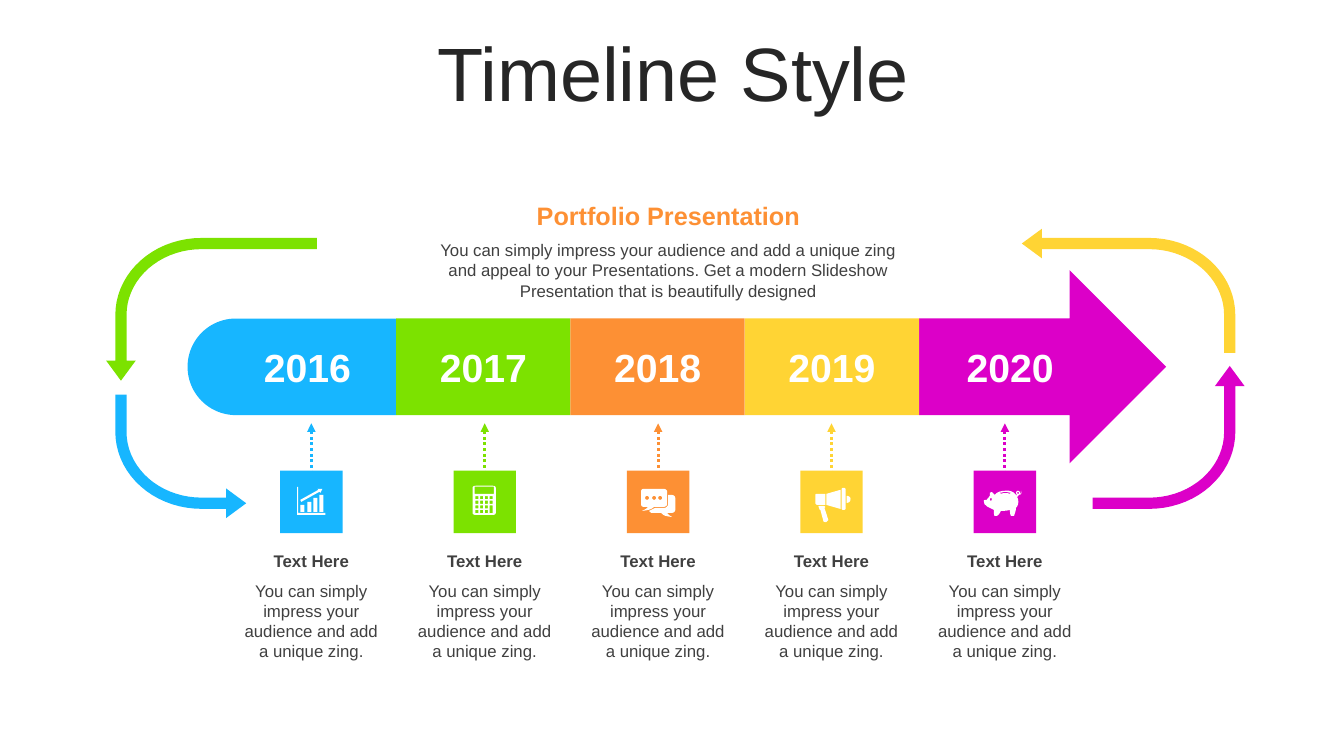
import collections
import dataclasses
import math

import lxml.etree
import pptx
import pptx.dml.color
import pptx.enum.dml
import pptx.enum.shapes
import pptx.enum.text
import pptx.oxml.ns
import pptx.util

Pt = pptx.util.Pt
Shape = pptx.enum.shapes.MSO_SHAPE
Anchor = pptx.enum.text.MSO_ANCHOR
Box = collections.namedtuple("Box", "left top width height")
Step = collections.namedtuple("Step", "year colour icon")


@dataclasses.dataclass(frozen=True)
class Theme:
    font: str = "Arial"
    blue: str = "17B6FF"
    green: str = "7CE200"
    orange: str = "FD9034"
    yellow: str = "FFD434"
    magenta: str = "DC00C8"
    white: str = "FFFFFF"
    title: str = "262626"
    ink: str = "404040"
    title_size: int = 54
    year_size: int = 28
    heading_size: int = 18
    body_size: int = 12


THEME = Theme()
ICON_GRID = 62


def block(left, top, right, bottom):
    return f"M{left} {top} L{right} {top} L{right} {bottom} L{left} {bottom} Z"


def dot(x, y):
    return (f"M{x} {y - 2} C{x - 1} {y - 2} {x - 2} {y - 1} {x - 2} {y} "
            f"C{x - 2} {y + 1} {x - 1} {y + 2} {x} {y + 2} C{x + 1} {y + 2} {x + 2} {y + 1} {x + 2} {y} "
            f"C{x + 2} {y - 1} {x + 1} {y - 2} {x} {y - 2} Z")


def key(column, row):
    left, top = 21.8 + 4.7 * column, 25.3 + 4.6 * row
    tall = column == 3 and row == 2
    return block(left, top, left + 3, top + (7.6 if tall else 3))


CHART = " ".join(block(left, top, left + 4, 41) for left, top in ((20, 34), (27, 31), (33, 27), (39, 24)))
CHART += (" M37 18 L42 18 L40 22 L39 21 L21 31 L20 29 L38 19 Z"
          " M17 16 L18 16 L18 42 L45 42 L45 44 L17 44 Z")
CALCULATOR = " ".join(key(column, row) for row in range(4) for column in range(4) if (column, row) != (3, 3))
CALCULATOR += block(21, 16, 40, 23) + (
    " M22 15 L39 15 C41 15 42 16 42 17 L42 42 C42 43 41 44 39 44 L22 44"
    " C20 44 19 43 19 42 L19 17 C19 16 20 15 22 15 Z")
CHAT = " ".join(dot(x, 27) for x in (20, 27, 33)) + (
    " M41 24 L44 24 C46 24 48 25 48 27 L48 39 C48 41 46 42 44 42 L40 42 C41 43 41 44 45 46"
    " C38 45 37 45 34 42 L25 42 C24 42 23 41 22 40 C24 39 26 38 28 37 L37 37 C39 37 41 35 41 33 Z"
    " M17 18 L36 18 C38 18 40 19 40 21 L40 33 C40 35 38 36 36 36 L27 36 C23 39 22 39 15 40"
    " C19 38 19 38 21 36 L17 36 C15 36 14 35 14 33 L14 21 C14 19 15 18 17 18 Z")
MEGAPHONE = (
    "M24 35 L25 36 L24 37 L28 49 C28 49 27 50 26 51 L25 51 C24 51 23 51 23 50"
    " L20 39 C19 39 19 38 19 38 L18 35 Z M46 25 C48 25 50 26 50 28 C50 31 48 32 46 32 Z"
    " M17 23 L25 23 L25 34 L17 34 C16 34 15 33 15 32 L15 24 C15 23 16 23 17 23 Z"
    " M40 19 L40 38 L26 34 L26 23 Z"
    " M42 17 L44 17 L45 18 L45 38 L44 39 L42 39 L41 38 L41 18 Z")
PIGGY_BANK = (
    "M17 27 C17 27 16 28 16 29 C16 29 17 30 17 30 C18 30 18 29 18 29 C18 28 18 27 17 27 Z"
    " M44 21 C44 21 43 22 43 22 C43 23 44 23 44 23 C45 23 45 23 45 22 C45 22 45 21 44 21 Z"
    " M31 21 C30 21 28 22 26 22 L27 23 C30 22 33 22 36 23 L37 22 C35 22 33 21 31 21 Z"
    " M31 20 C35 19 40 21 42 24 L43 25 L43 24 C43 24 42 23 42 22 C42 21 43 20 44 20"
    " C45 20 46 21 46 22 L46 23 C46 23 47 23 47 20 C48 23 47 24 45 24 C44 25 44 26 43 26"
    " L44 28 C45 32 44 35 42 37 C42 40 41 42 40 45 L37 45 C36 43 36 41 36 39"
    " C33 40 29 40 27 40 C26 42 25 44 23 45 L21 45 C20 45 20 41 20 39 C17 37 9 35 10 30"
    " C10 29 12 29 13 29 C14 27 15 27 16 25 C16 24 16 22 16 22 C19 20 19 23 21 24 C23 21 28 20 31 20 Z")

STEPS = (Step("2016", THEME.blue, CHART), Step("2017", THEME.green, CALCULATOR),
         Step("2018", THEME.orange, CHAT), Step("2019", THEME.yellow, MEGAPHONE),
         Step("2020", THEME.magenta, PIGGY_BANK))


def rgb(colour):
    return pptx.dml.color.RGBColor.from_string(colour)


def points(box):
    return [Pt(length) for length in box]


def paint(shape, colour):
    shape.shadow.inherit = False
    shape.fill.solid()
    shape.fill.fore_color.rgb = rgb(colour)
    shape.line.fill.background()


def write(shape, words, size, colour, bold=False, anchor=Anchor.TOP, spacing=1.0):
    frame = shape.text_frame
    para = frame.paragraphs[0]
    span = para.add_run()
    span.text = words
    formats = (
        (frame, {"word_wrap": True, "vertical_anchor": anchor}),
        (para, {"alignment": pptx.enum.text.PP_ALIGN.CENTER, "line_spacing": spacing}),
        (span.font, {"name": THEME.font, "size": Pt(size), "bold": bold}),
    )
    for target, values in formats:
        for name, value in values.items():
            setattr(target, name, value)
    span.font.color.rgb = rgb(colour)


def add_label(page, box, words, size, colour, **options):
    write(page.shapes.add_textbox(*points(box)), words, size, colour, **options)


def add_block(page, kind, box, colour):
    shape = page.shapes.add_shape(kind, *points(box))
    paint(shape, colour)
    return shape


def add_outline(page, contours, colour):
    corners = [[(Pt(spot.real), Pt(spot.imag)) for spot in contour] for contour in contours]
    builder = page.shapes.build_freeform(*corners[0][0])
    for number, contour in enumerate(corners):
        if number:
            builder.move_to(*contour[0])
        builder.add_line_segments(contour[1:], close=True)
    paint(builder.convert_to_shape(), colour)


def trace(outline):
    for letter in "MLC":
        outline = outline.replace(letter, f" {letter} ")
    for contour in outline.split("Z")[:-1]:
        tokens = collections.deque(contour.split())
        spots = []
        while tokens:
            count = 3 if tokens.popleft() == "C" else 1
            ends = [complex(float(tokens.popleft()), float(tokens.popleft())) for _ in range(count)]
            if count == 1:
                spots += ends
                continue
            start, (first, second, last) = spots[-1], ends
            for t in (0.25, 0.5, 0.75, 1):
                u = 1 - t
                spots.append(u**3 * start + 3 * u * u * t * first + 3 * u * t * t * second + t**3 * last)
        yield spots


def add_icon(page, box, outline):
    origin, scale = complex(box.left, box.top), box.width / ICON_GRID
    add_outline(page, [[origin + spot * scale for spot in contour] for contour in trace(outline)], THEME.white)


def add_curved_arrow(page, tail, corner, tip, colour):
    half, head_half, head_length, radius_x, radius_y = 4, 10.6, 14.4, 57.6, 51
    inward = (corner - tail) / abs(corner - tail)
    onward = (tip - corner) / abs(tip - corner)
    reach, drop = (radius_x, radius_y) if inward.imag == 0 else (radius_y, radius_x)
    centre = corner - inward * reach + onward * drop
    neck = tip - onward * head_length

    def bend(offset):
        angles = [math.radians(degree) for degree in range(0, 91, 5)]
        return [centre + inward * (reach + offset) * math.sin(angle)
                - onward * (drop + offset) * math.cos(angle) for angle in angles]

    head = [neck + inward * half, neck + inward * head_half, tip, neck - inward * head_half, neck - inward * half]
    add_outline(page, [[tail - onward * half, *bend(half), *head, *bend(-half)[::-1], tail + onward * half]], colour)


def add_cycle_arrows(page, box):
    left, right = box.left, box.left + box.width
    top, bottom = box.top, box.top + box.height
    for tail, corner, tip, colour in (
            ((left + 140, top), (left, top), (left, top + 98), THEME.green),
            ((left, top + 108), (left, bottom), (left + 89.5, bottom), THEME.blue),
            ((right, top + 78), (right, top), (right - 148.5, top), THEME.yellow),
            ((right - 98, bottom), (right, bottom), (right, top + 87.4), THEME.magenta)):
        add_curved_arrow(page, complex(*tail), complex(*corner), complex(*tip), colour)


def add_year_bar(page, box):
    cap, pitch, middle = 149, 124.5, box.top + box.height / 2
    start = add_block(page, Shape.ROUND_2_SAME_RECTANGLE,
                      Box(box.left + (cap - box.height) / 2, middle - cap / 2, box.height, cap), STEPS[0].colour)
    start.rotation = 270
    start.adjustments[0] = 0.5
    edge = box.left + cap
    arrow_left = edge + 3 * pitch
    add_block(page, Shape.RIGHT_ARROW,
              Box(arrow_left, box.top - box.height / 2, box.left + box.width - arrow_left, 2 * box.height),
              STEPS[-1].colour)
    for number, step in enumerate(STEPS[1:-1]):
        add_block(page, Shape.RECTANGLE, Box(edge + number * pitch, box.top, pitch, box.height), step.colour)
    centres = [box.left + 85.5, *(edge + pitch * (number + 0.5) for number in range(3)), arrow_left + 65]
    for centre, step in zip(centres, STEPS):
        add_label(page, Box(centre - 56, box.top, 112, box.height), step.year, THEME.year_size, THEME.white,
                  bold=True, anchor=Anchor.MIDDLE)


def add_step(page, box, step):
    side, centre = 44.6, box.left + box.width / 2
    tile_box = Box(centre - side / 2, box.top + 33.8, side, side)
    tile = add_block(page, Shape.RECTANGLE, tile_box, step.colour)
    pointer = page.shapes.add_connector(pptx.enum.shapes.MSO_CONNECTOR.STRAIGHT,
                                        *points((centre, box.top, centre, tile_box.top)))
    pointer.end_connect(tile, 0)
    pointer.line.color.rgb = rgb(step.colour)
    pointer.line.width = Pt(2)
    pointer.line.dash_style = pptx.enum.dml.MSO_LINE.ROUND_DOT
    head = lxml.etree.SubElement(pointer.line._get_or_add_ln(), pptx.oxml.ns.qn("a:headEnd"))
    head.set("type", "triangle")
    lxml.etree.SubElement(pointer._element.spPr, pptx.oxml.ns.qn("a:effectLst"))
    add_icon(page, tile_box, step.icon)
    add_label(page, Box(box.left, box.top + 87.1, box.width, 21.6), "Text Here", THEME.body_size, THEME.ink, bold=True)
    add_label(page, Box(box.left, box.top + 108.7, box.width, 65.5),
              "You can simply impress your audience and add a unique zing.", THEME.body_size, THEME.ink)


def add_introduction(page, box):
    add_label(page, Box(box.left, box.top, box.width, 31.7), "Portfolio Presentation", THEME.heading_size,
              THEME.orange, bold=True, anchor=Anchor.MIDDLE, spacing=1.1)
    add_label(page, Box(box.left, box.top + 31, box.width, box.height - 31),
              "You can simply impress your audience and add a unique zing and appeal to your Presentations. "
              "Get a modern Slideshow Presentation that is beautifully designed", THEME.body_size, THEME.ink)


def add_title(page, box):
    title = page.shapes.title
    title.left, title.top, title.width, title.height = points(box)
    write(title, "Timeline Style", THEME.title_size, THEME.title, anchor=Anchor.MIDDLE, spacing=0.9)


def main():
    deck = pptx.Presentation()
    deck.slide_width, deck.slide_height = Pt(960), Pt(540)
    page = deck.slides.add_slide(deck.slide_layouts[5])
    add_title(page, Box(25, 26.6, 911.5, 57))
    add_year_bar(page, Box(134, 227.5, 699, 69))
    add_introduction(page, Box(304.6, 136.8, 345.6, 82))
    add_cycle_arrows(page, Box(86.4, 174, 792, 185.5))
    for number, step in enumerate(STEPS):
        add_step(page, Box(165.9 + 123.85 * number, 302.4, 113, 174.2), step)
    deck.save("out.pptx")


if __name__ == "__main__":
    main()
